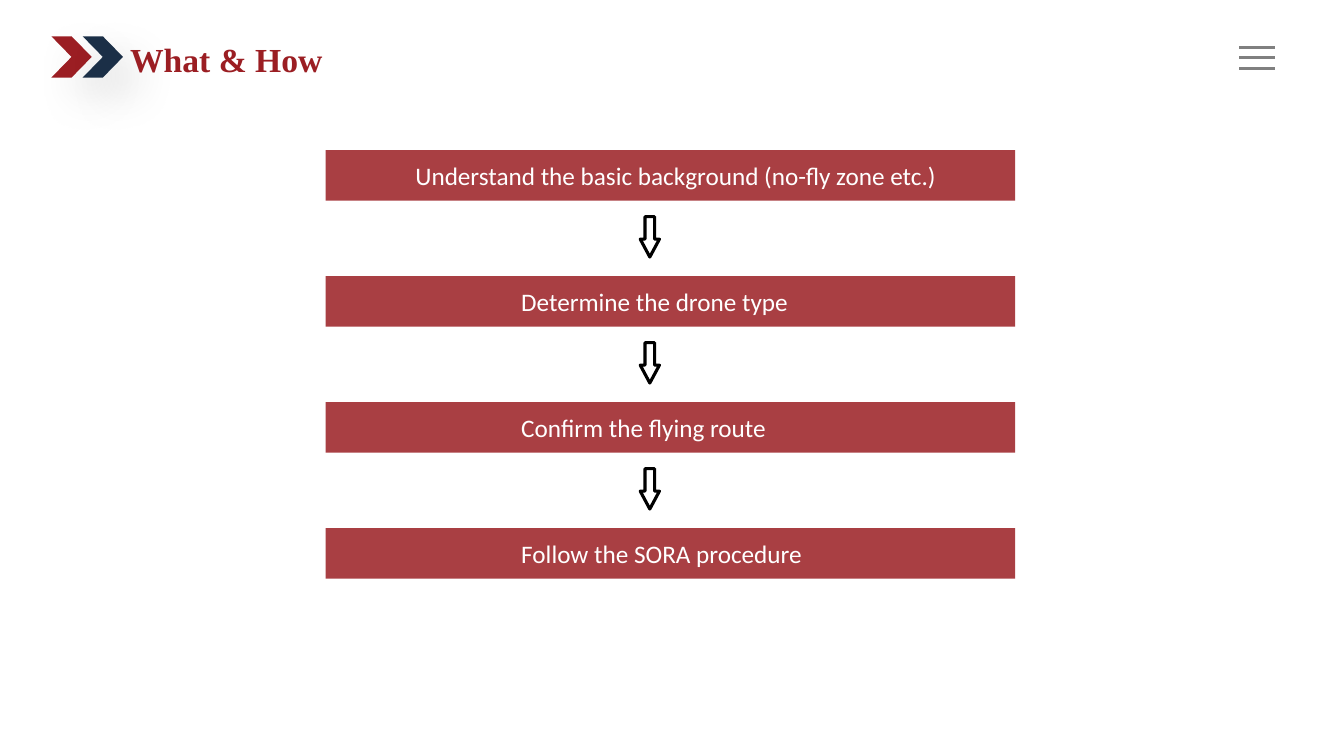
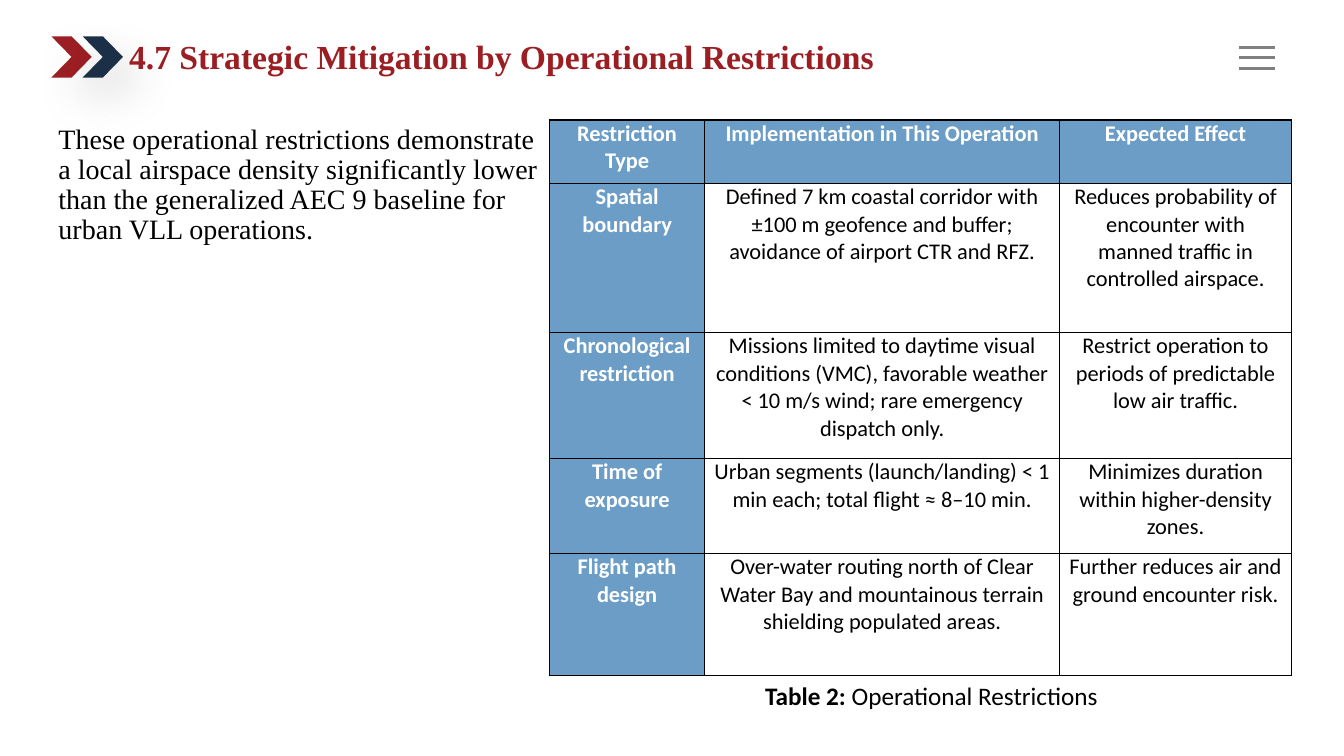
from dataclasses import dataclass

from lxml.etree import SubElement
from pptx import Presentation
from pptx.dml.color import RGBColor
from pptx.enum.shapes import MSO_CONNECTOR as Connector, MSO_SHAPE as Preset
from pptx.enum.text import MSO_ANCHOR as Anchor, MSO_AUTO_SIZE as AutoSize, PP_ALIGN as Align
from pptx.oxml.ns import qn
from pptx.util import Inches, Pt


@dataclass(frozen=True)
class Theme:
    red: str = "9B1E23"
    navy: str = "1B2F47"
    gray: str = "808080"
    blue: str = "6B9DC6"
    black: str = "000000"
    white: str = "FFFFFF"
    serif: str = "Times New Roman"
    sans: str = "Calibri"
    title_size: int = 24
    body_size: int = 20
    label_size: int = 18
    table_size: int = 16
    line_width: float = 2.25


THEME = Theme()
SLIDE_SIZE = 13.33, 7.5

# Content: each step has its text and its indent inside the bar
STEPS_TITLE = "What & How"
STEPS = [
    ("Understand the basic background (no-fly zone etc.)", 0.89),
    ("Determine the drone type", 1.94),
    ("Confirm the flying route", 1.94),
    ("Follow the SORA procedure", 1.94),
]
TABLE_TITLE = "4.7 Strategic Mitigation by Operational Restrictions"
SUMMARY = ("These operational restrictions demonstrate a local airspace density significantly "
           "lower than the generalized AEC 9 baseline for urban VLL operations.")
RESTRICTIONS = [
    ("Restriction Type", "Implementation in This Operation", "Expected Effect"),
    ("Spatial boundary",
     "Defined 7 km coastal corridor with ±100 m geofence and buffer; "
     "avoidance of airport CTR and RFZ.",
     "Reduces probability of encounter with manned traffic in controlled airspace."),
    ("Chronological restriction",
     "Missions limited to daytime visual conditions (VMC), favorable weather "
     "< 10 m/s wind; rare emergency dispatch only.",
     "Restrict operation to periods of predictable low air traffic."),
    ("Time of exposure",
     "Urban segments (launch/landing) < 1 min each; total flight ≈ 8–10 min.",
     "Minimizes duration within higher-density zones."),
    ("Flight path design",
     "Over-water routing north of Clear Water Bay and mountainous terrain "
     "shielding populated areas.",
     "Further reduces air and ground encounter risk."),
]
CAPTION = [("Table 2: ", True), ("Operational Restrictions", False)]

# Geometry in inches
COLUMN_WIDTHS = [1.54, 3.52, 2.3]
ROW_HEIGHTS = [0.63, 1.48, 1.25, 0.94, 1.21]
TABLE_LEFT, TABLE_TOP = 5.45, 1.19
BAR_LEFT, BAR_TOP, BAR_WIDTH, BAR_HEIGHT, BAR_PITCH = 3.23, 1.49, 6.84, 0.5, 1.25
ARROW_LEFT, ARROW_WIDTH, ARROW_HEIGHT, ARROW_GAP = 6.35, 0.19, 0.4, 0.16


def inches(*values):
    return [Inches(value) for value in values]


def apply(target, values):
    for name, value in values.items():
        setattr(target, name, value)


def add_run(paragraph, text, size, color, face=THEME.sans, bold=False):
    run = paragraph.add_run()
    run.text = text
    apply(run.font, {"size": Pt(size), "name": face, "bold": bold})
    run.font.color.rgb = RGBColor.from_string(color)


def fill_solid(target, color, alpha=None):
    target.fill.solid()
    target.fill.fore_color.rgb = RGBColor.from_string(color)
    if alpha is not None:
        color_element = target._element.spPr.find(qn("a:solidFill"))[0]
        SubElement(color_element, qn("a:alpha"), val=str(alpha * 1000))


def set_line(target, color):
    target.line.color.rgb = RGBColor.from_string(color)
    target.line.width = Pt(THEME.line_width)


def add_plain_shape(slide, preset, *box):
    shape = slide.shapes.add_shape(preset, *inches(*box))
    shape.shadow.inherit = False
    shape.line.fill.background()
    return shape


def place(shape, box):
    apply(shape, dict(zip(("left", "top", "width", "height"), inches(*box))))


def add_soft_shadow(shape):
    effects = shape._element.spPr.find(qn("a:effectLst"))
    shadow = SubElement(effects, qn("a:outerShdw"), blurRad=str(Pt(32)), dist=str(Pt(19)),
                        dir=str(45 * 60000), algn="tl", rotWithShape="0")
    color = SubElement(shadow, qn("a:srgbClr"), val=THEME.black)
    SubElement(color, qn("a:alpha"), val="14000")


def decorate_master(presentation, slide):
    """Draw the header marks and move them to the master shared by all slides."""
    marks = []
    for left, color in ((0.51, THEME.red), (0.82, THEME.navy)):
        chevron = add_plain_shape(slide, Preset.CHEVRON, left, 0.36, 0.4, 0.41)
        fill_solid(chevron, color)
        add_soft_shadow(chevron)
        marks.append(chevron)
    for top in (0.47, 0.57, 0.68):
        menu_line = slide.shapes.add_connector(Connector.STRAIGHT, *inches(12.29, top, 12.65, top))
        set_line(menu_line, THEME.gray)
        SubElement(menu_line._element.spPr, qn("a:effectLst"))
        marks.append(menu_line)
    for number, mark in enumerate(marks, 101):
        mark._element.xpath(".//p:cNvPr")[0].set("id", str(number))
        presentation.slide_master.shapes._spTree.append(mark._element)


def add_slide(presentation, layout_index, title, title_box):
    slide = presentation.slides.add_slide(presentation.slide_layouts[layout_index])
    place(slide.shapes.title, title_box)
    frame = slide.shapes.title.text_frame
    apply(frame, {"vertical_anchor": Anchor.MIDDLE, "auto_size": AutoSize.NONE,
                  "word_wrap": True})
    paragraph = frame.paragraphs[0]
    apply(paragraph, {"alignment": Align.LEFT, "line_spacing": 0.9})
    add_run(paragraph, title, THEME.title_size, THEME.red, THEME.serif, True)
    return slide


def add_steps(slide):
    for index, (text, indent) in enumerate(STEPS):
        top = BAR_TOP + index * BAR_PITCH
        bar = add_plain_shape(slide, Preset.RECTANGLE, BAR_LEFT, top, BAR_WIDTH, BAR_HEIGHT)
        fill_solid(bar, THEME.red, alpha=85)
        apply(bar.text_frame, {"margin_left": Inches(indent), "word_wrap": True,
                               "vertical_anchor": Anchor.MIDDLE})
        paragraph = bar.text_frame.paragraphs[0]
        paragraph.alignment = Align.LEFT
        add_run(paragraph, text, THEME.label_size, THEME.white)
        if index < len(STEPS) - 1:
            arrow = add_plain_shape(slide, Preset.DOWN_ARROW, ARROW_LEFT,
                                    top + BAR_HEIGHT + ARROW_GAP, ARROW_WIDTH, ARROW_HEIGHT)
            arrow.adjustments[1] = 0.93
            arrow.fill.background()
            set_line(arrow, THEME.black)


def add_summary(slide):
    body = slide.placeholders[1]
    place(body, (0.48, 1.19, 4.96, 1.4))
    apply(body.text_frame, {"auto_size": AutoSize.NONE, "word_wrap": True})
    paragraph = body.text_frame.paragraphs[0]
    apply(paragraph, {"line_spacing": 0.9, "space_before": Pt(0)})
    properties = paragraph._p.get_or_add_pPr()
    apply_indent = {"marL": "0", "indent": "0"}
    for name, value in apply_indent.items():
        properties.set(name, value)
    SubElement(properties, qn("a:buNone"))
    add_run(paragraph, SUMMARY, THEME.body_size, THEME.black, THEME.serif)


def format_cell(cell, text, is_header):
    apply(cell, {"margin_left": Inches(0.07), "margin_right": Inches(0.07),
                 "margin_top": 0, "margin_bottom": 0})
    properties = cell._tc.get_or_add_tcPr()
    for side in ("lnL", "lnR", "lnT", "lnB"):
        border = SubElement(properties, qn(f"a:{side}"), w=str(Pt(1)))
        SubElement(SubElement(border, qn("a:solidFill")), qn("a:srgbClr"), val=THEME.black)
    if is_header:
        fill_solid(cell, THEME.blue)
    else:
        cell.fill.background()
    paragraph = cell.text_frame.paragraphs[0]
    paragraph.alignment = Align.CENTER
    add_run(paragraph, text, THEME.table_size, THEME.white if is_header else THEME.black,
            bold=is_header)


def add_restrictions(slide):
    table = slide.shapes.add_table(
        len(ROW_HEIGHTS), len(COLUMN_WIDTHS),
        *inches(TABLE_LEFT, TABLE_TOP, sum(COLUMN_WIDTHS), sum(ROW_HEIGHTS))).table
    apply(table, {"first_row": False, "horz_banding": False})
    for column, width in zip(table.columns, COLUMN_WIDTHS):
        column.width = Inches(width)
    for row_index, (row, height) in enumerate(zip(table.rows, ROW_HEIGHTS)):
        row.height = Inches(height)
        for column_index, text in enumerate(RESTRICTIONS[row_index]):
            format_cell(row.cells[column_index], text, row_index == 0 or column_index == 0)

    # Caption under the table
    caption = slide.shapes.add_textbox(
        *inches(7.49, TABLE_TOP + sum(ROW_HEIGHTS), 3.53, 0.4))
    caption.text_frame.word_wrap = True
    for text, bold in CAPTION:
        add_run(caption.text_frame.paragraphs[0], text, THEME.label_size, THEME.black, bold=bold)


def main():
    presentation = Presentation()
    apply(presentation, dict(zip(("slide_width", "slide_height"), inches(*SLIDE_SIZE))))

    # Step sequence
    steps_slide = add_slide(presentation, 5, STEPS_TITLE, (1.19, 0.23, 3.22, 0.76))
    decorate_master(presentation, steps_slide)
    add_steps(steps_slide)

    # Restrictions table
    table_slide = add_slide(presentation, 1, TABLE_TITLE, (1.18, 0.28, 8.07, 0.6))
    add_summary(table_slide)
    add_restrictions(table_slide)

    presentation.save("out.pptx")


if __name__ == "__main__":
    main()
